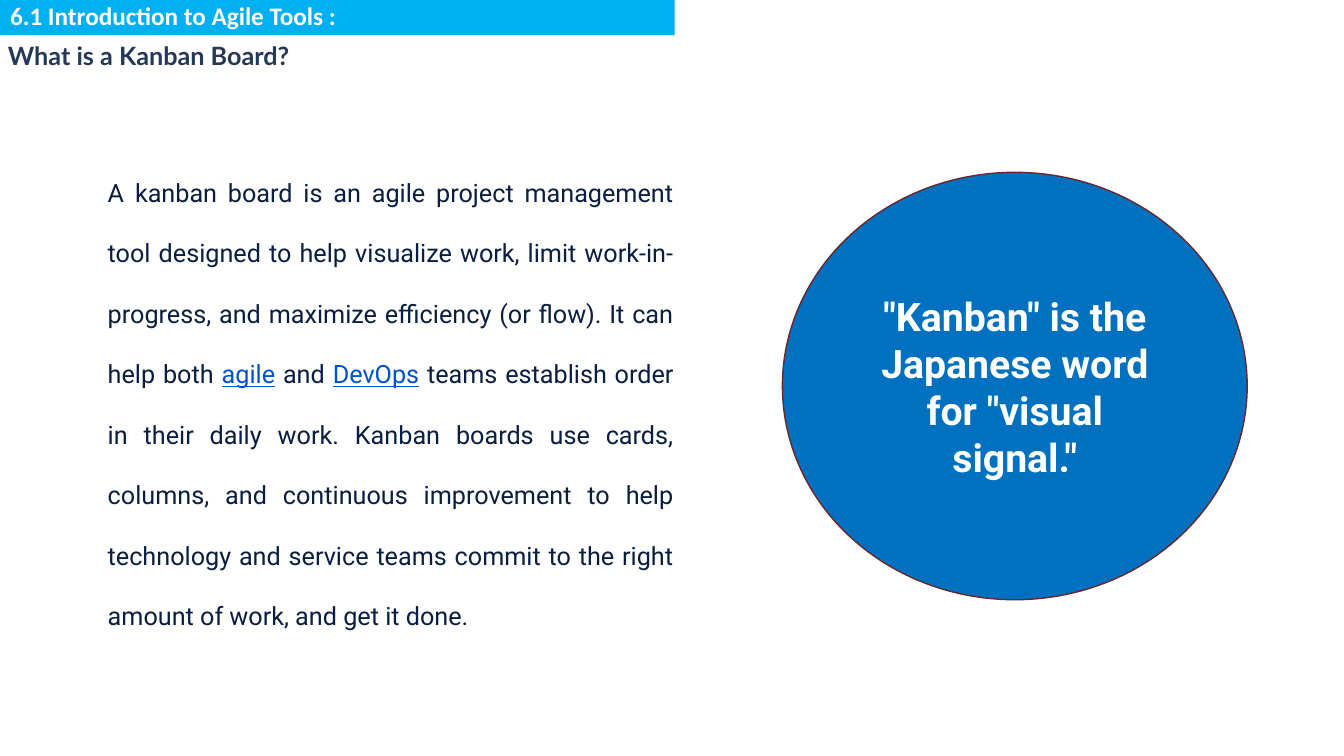
"""Build the slide that explains what a kanban board is."""
import pptx
import pptx.util
import pptx.dml.color
import pptx.enum.shapes
import pptx.enum.text

PX = 9144
SLIDE_SIZE = (1333, 750)
ALIGN = pptx.enum.text.PP_ALIGN
ANCHOR = pptx.enum.text.MSO_ANCHOR

HEADER = {"text": "6.1 Introduction to Agile Tools :", "box": (0, -5, 669, 40), "fill": "00B0F0"}
QUESTION = {"text": "What is a Kanban Board?", "box": (-2, 35, 669, 40)}
DEFINITION = {
    "box": (97, 141, 581, 486),
    "color": "091E42",
    "term_color": "0052CC",
    "pieces": [
        ("A kanban board is an agile project management tool designed to help visualize work, "
         "limit work-in-progress, and maximize efficiency (or flow). It can help both ", False),
        ("agile", True),
        (" and ", False),
        ("DevOps", True),
        (" teams establish order in their daily work. Kanban boards use cards, columns, and "
         "continuous improvement to help technology and service teams commit to the right "
         "amount of work, and get it done.", False),
    ],
}
MEANING = {
    "text": "\"Kanban\" is the Japanese word for \"visual signal.\"",
    "box": (776, 171, 461, 424),
    "fill": "0070C0",
    "line": "67292B",
}


def rgb(value):
    """Turn a hex string into a colour."""
    return pptx.dml.color.RGBColor.from_string(value)


def emu(box):
    """Turn px lengths into EMU."""
    return [pptx.util.Emu(length * PX) for length in box]


def place(shape, box):
    """Move and size a shape."""
    shape.left, shape.top, shape.width, shape.height = emu(box)


def paint(shape, color):
    """Fill a shape with one colour."""
    shape.fill.solid()
    shape.fill.fore_color.rgb = rgb(color)


def format_text(shape, font, size, color, bold=False, align=ALIGN.LEFT, anchor=ANCHOR.TOP):
    """Format the only paragraph of a shape and return it."""
    frame = shape.text_frame
    frame.word_wrap = True
    frame.auto_size = pptx.enum.text.MSO_AUTO_SIZE.NONE
    frame.vertical_anchor = anchor
    paragraph = frame.paragraphs[0]
    paragraph.alignment = align
    paragraph.font.name = font
    paragraph.font.size = pptx.util.Pt(size)
    paragraph.font.bold = bold
    paragraph.font.color.rgb = rgb(color)
    return paragraph


def main():
    """Draw the slide and save it."""
    deck = pptx.Presentation()
    deck.slide_width, deck.slide_height = emu(SLIDE_SIZE)
    slide = deck.slides.add_slide(deck.slide_layouts[5])
    shapes = slide.shapes

    header = shapes.title
    place(header, HEADER["box"])
    paint(header, HEADER["fill"])
    header.text_frame.text = HEADER["text"]
    format_text(header, "Calibri", 18, "FFFFFF", bold=True)

    question = shapes.add_textbox(*emu(QUESTION["box"]))
    question.text_frame.text = QUESTION["text"]
    format_text(question, "Lato", 18, "253858", bold=True)

    definition = shapes.add_textbox(*emu(DEFINITION["box"]))
    sentence = format_text(definition, "Roboto", 18, DEFINITION["color"], align=ALIGN.JUSTIFY)
    sentence.line_spacing = 2.0
    for text, is_term in DEFINITION["pieces"]:
        piece = sentence.add_run()
        piece.text = text
        if is_term:
            piece.font.underline = True
            piece.font.color.rgb = rgb(DEFINITION["term_color"])

    meaning = shapes.add_shape(pptx.enum.shapes.MSO_SHAPE.OVAL, *emu(MEANING["box"]))
    meaning.shadow.inherit = False
    paint(meaning, MEANING["fill"])
    meaning.line.color.rgb = rgb(MEANING["line"])
    meaning.line.width = pptx.util.Pt(1)
    meaning.text_frame.text = MEANING["text"]
    format_text(meaning, "Roboto", 28, "FFFFFF", True, ALIGN.CENTER, ANCHOR.MIDDLE)

    deck.save("out.pptx")


if __name__ == "__main__":
    main()
